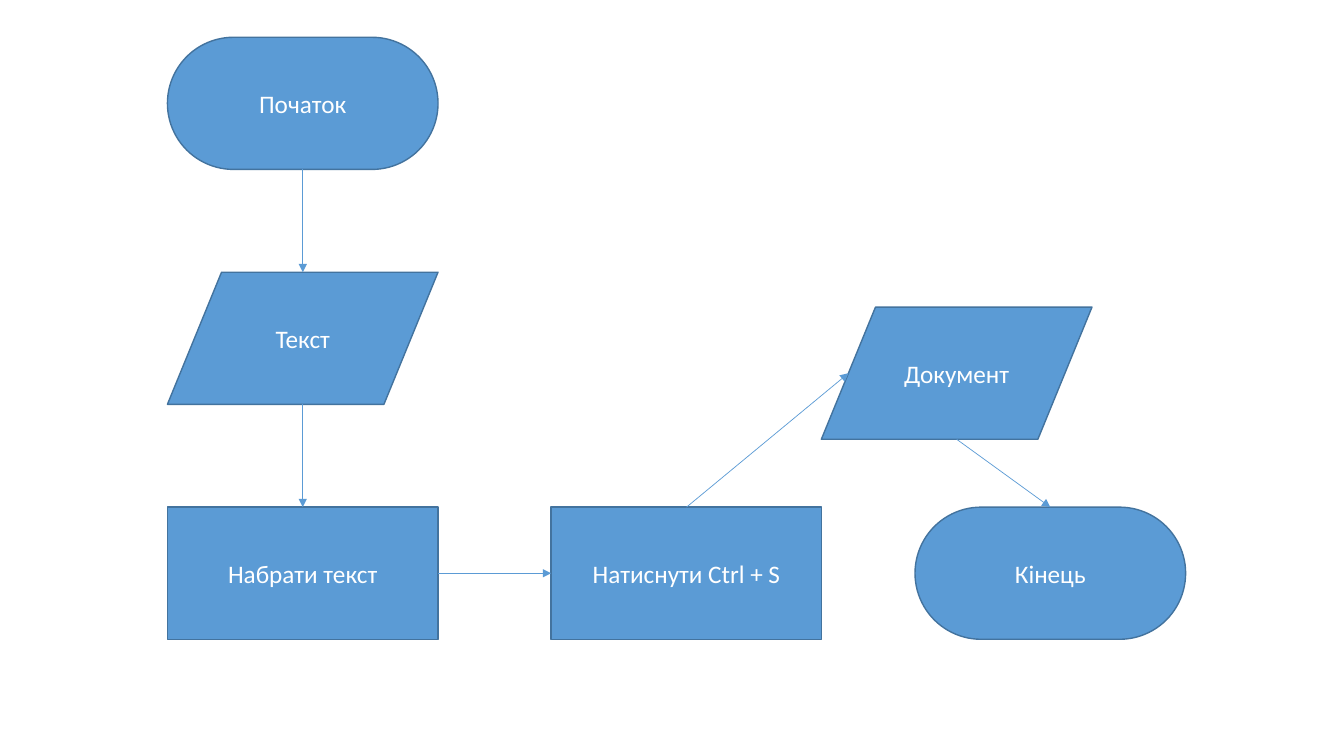
from dataclasses import dataclass
from typing import Optional

import lxml.etree
import pptx
import pptx.dml.color
import pptx.enum.shapes
import pptx.enum.text
import pptx.oxml.ns
import pptx.shapes.autoshape
import pptx.slide
import pptx.util

Cm = pptx.util.Cm
Shapes = pptx.enum.shapes.MSO_SHAPE
TOP, LEFT, BOTTOM, RIGHT = range(4)


@dataclass(frozen=True)
class Theme:
    fill: str = "5B9BD5"
    outline: str = "43739E"
    text: str = "FFFFFF"
    font: str = "Calibri"
    text_size: float = 18
    outline_width: float = 1
    arrow_width: float = 0.5


@dataclass(frozen=True)
class Step:
    text: str
    kind: Shapes
    left: float
    top: float


@dataclass(frozen=True)
class Arrow:
    source: str
    source_side: int
    target: str
    target_side: int


THEME = Theme()
STEP_WIDTH, STEP_HEIGHT = 6.82, 3.33
FIRST_COLUMN, FIRST_ROW, ROW_STEP = 4.22, 0.94, 5.92
LAST_ROW = FIRST_ROW + 2 * ROW_STEP
TERMINATOR = Shapes.ROUNDED_RECTANGLE
DATA = Shapes.FLOWCHART_DATA
PROCESS = Shapes.RECTANGLE

STEPS = [
    Step("Початок", TERMINATOR, FIRST_COLUMN, FIRST_ROW),
    Step("Текст", DATA, FIRST_COLUMN, FIRST_ROW + ROW_STEP),
    Step("Набрати текст", PROCESS, FIRST_COLUMN, LAST_ROW),
    Step("Натиснути Ctrl + S", PROCESS, 13.89, LAST_ROW),
    Step("Документ", DATA, 20.7, 7.74),
    Step("Кінець", TERMINATOR, 23.06, LAST_ROW),
]

ARROWS = [
    Arrow("Початок", BOTTOM, "Текст", TOP),
    Arrow("Текст", BOTTOM, "Набрати текст", TOP),
    Arrow("Набрати текст", RIGHT, "Натиснути Ctrl + S", LEFT),
    Arrow("Натиснути Ctrl + S", TOP, "Документ", LEFT),
    Arrow("Документ", BOTTOM, "Кінець", TOP),
]


def color(value: str) -> pptx.dml.color.RGBColor:
    return pptx.dml.color.RGBColor.from_string(value)


def write_text(shape: pptx.shapes.autoshape.Shape, text: str, *, size: float = THEME.text_size,
               font: str = THEME.font, text_color: str = THEME.text) -> None:
    frame = shape.text_frame
    frame.word_wrap = True
    frame.vertical_anchor = pptx.enum.text.MSO_ANCHOR.MIDDLE
    paragraph = frame.paragraphs[0]
    paragraph.alignment = pptx.enum.text.PP_ALIGN.CENTER
    run = paragraph.add_run()
    run.text = text
    run.font.size = pptx.util.Pt(size)
    run.font.name = font
    run.font.color.rgb = color(text_color)


def draw_step(slide: pptx.slide.Slide, step: Step) -> pptx.shapes.autoshape.Shape:
    shape = slide.shapes.add_shape(
        step.kind, Cm(step.left), Cm(step.top), Cm(STEP_WIDTH), Cm(STEP_HEIGHT))
    if step.kind == TERMINATOR:
        shape.adjustments[0] = 0.5
    shape.shadow.inherit = False
    shape.fill.solid()
    shape.fill.fore_color.rgb = color(THEME.fill)
    shape.line.color.rgb = color(THEME.outline)
    shape.line.width = pptx.util.Pt(THEME.outline_width)
    write_text(shape, step.text)
    return shape


def side_point(step: Step, side: int) -> tuple[Cm, Cm]:
    slant = 0.1 if step.kind == DATA else 0
    across, down = {TOP: (0.5, 0), LEFT: (slant, 0.5),
                    BOTTOM: (0.5, 1), RIGHT: (1 - slant, 0.5)}[side]
    return Cm(step.left + across * STEP_WIDTH), Cm(step.top + down * STEP_HEIGHT)


def joinable(step: Step) -> Optional[bool]:
    return step.kind != DATA


def draw_arrow(slide: pptx.slide.Slide, arrow: Arrow, steps: dict[str, Step],
               shapes: dict[str, pptx.shapes.autoshape.Shape]) -> None:
    source, target = steps[arrow.source], steps[arrow.target]
    connector = slide.shapes.add_connector(
        pptx.enum.shapes.MSO_CONNECTOR.STRAIGHT,
        *side_point(source, arrow.source_side), *side_point(target, arrow.target_side))
    if joinable(source):
        connector.begin_connect(shapes[arrow.source], arrow.source_side)
    if joinable(target):
        connector.end_connect(shapes[arrow.target], arrow.target_side)
    connector.line.color.rgb = color(THEME.fill)
    connector.line.width = pptx.util.Pt(THEME.arrow_width)
    qualified = pptx.oxml.ns.qn
    properties = connector._element.spPr
    lxml.etree.SubElement(properties.find(qualified("a:ln")), qualified("a:tailEnd"), type="triangle")
    lxml.etree.SubElement(properties, qualified("a:effectLst"))


def main() -> None:
    presentation = pptx.Presentation()
    presentation.slide_width = Cm(33.87)
    presentation.slide_height = Cm(19.05)
    slide = presentation.slides.add_slide(presentation.slide_layouts[6])
    steps = {step.text: step for step in STEPS}
    shapes = {step.text: draw_step(slide, step) for step in STEPS}
    for arrow in ARROWS:
        draw_arrow(slide, arrow, steps, shapes)
    presentation.save("out.pptx")


if __name__ == "__main__":
    main()
